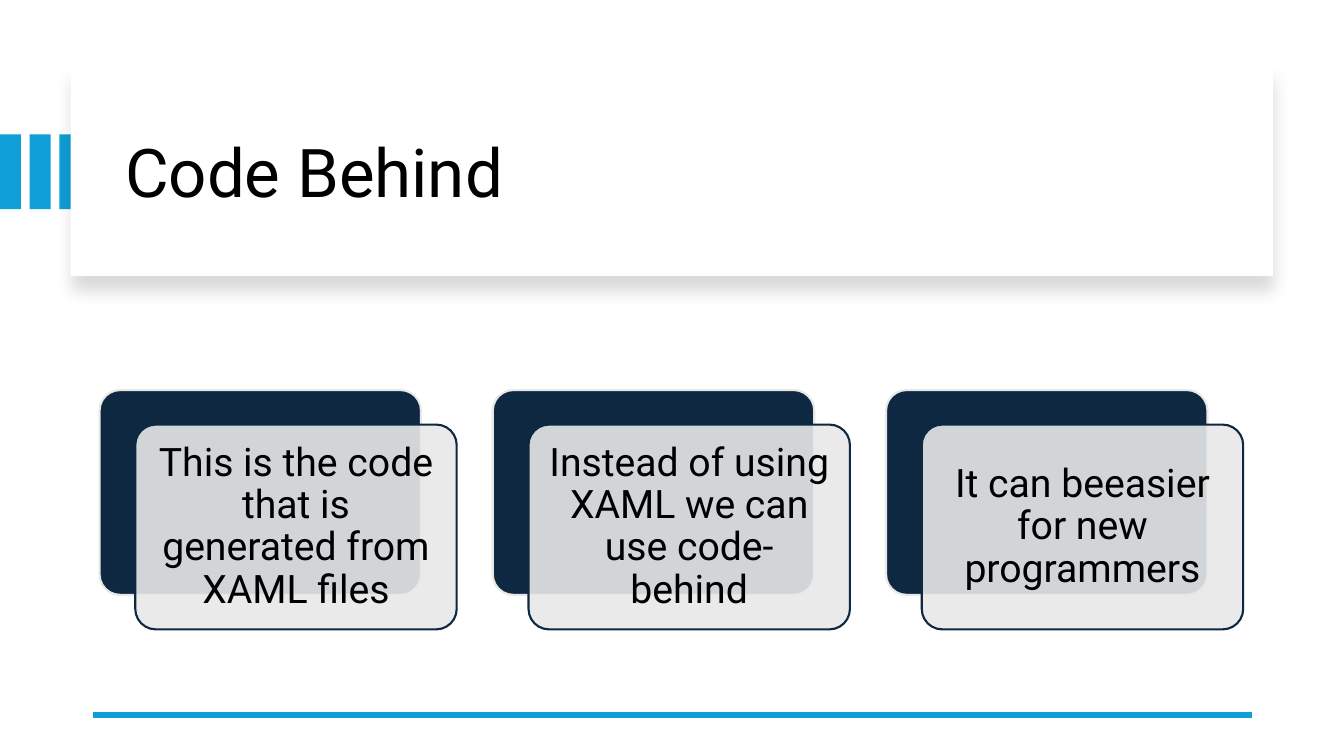
from lxml import etree
from pptx import Presentation
from pptx import util as u
from pptx.dml.color import RGBColor
from pptx.enum import shapes, text
from pptx.oxml import ns

TITLE = "Code Behind"
CARDS = [
    "This is the code that is generated from XAML files",
    "Instead of using XAML we can use code-behind",
    "It can beeasier for new programmers",
]
FONT = "Roboto"
BLUE, NAVY, GREY, WHITE, BLACK = "0F9ED5", "0E2841", "E8E8E8", "FFFFFF", "000000"

# Lengths in centimetres
BAR_COUNT, BAR_PITCH, BAR_TOP, BAR_SIZE = 3, 0.75, 3.39, (0.53, 1.88)
PANEL = (1.78, 1.7, 30.3, 5.26)
TITLE_BOX = (2.9, 2.26, 28.27, 4.32)
RULE_LEFT, RULE_RIGHT, RULE_Y = 2.34, 31.55, 18.01
CARD_LEFT, CARD_TOP, CARD_SIZE, CARD_PITCH = 2.51, 9.83, (8.1, 5.16), 9.91
FRONT_SHIFT = (0.9, 0.87)
CARD_INSET = 0.3


def rgb(value):
    return RGBColor.from_string(value)


def add_box(kind, box, fill, line=None):
    sp = s.shapes.add_shape(kind, *map(u.Cm, box))
    sp.shadow.inherit = False
    sp.fill.solid()
    sp.fill.fore_color.rgb = rgb(fill)
    if line:
        sp.line.color.rgb = rgb(line)
        sp.line.width = u.Pt(1.5)
    else:
        sp.line.fill.background()
    return sp


def write(tf, words, size, align):
    tf.word_wrap = True
    tf.vertical_anchor = text.MSO_ANCHOR.MIDDLE
    p = tf.paragraphs[0]
    p.alignment = align
    p.line_spacing = 0.9
    r = p.add_run()
    r.text = words
    r.font.name = FONT
    r.font.size = u.Pt(size)
    r.font.color.rgb = rgb(BLACK)


def add_alpha(color, percent):
    etree.SubElement(color, ns.qn("a:alpha"), val=str(percent * 1000))


def add_drop_shadow(sp, percent, blur, distance):
    """Cast a shadow straight down; blur and distance are in points."""
    effects = sp._element.spPr.find(ns.qn("a:effectLst"))
    shadow = etree.SubElement(
        effects, ns.qn("a:outerShdw"), blurRad=str(u.Pt(blur)),
        dist=str(u.Pt(distance)), dir="5400000", algn="t", rotWithShape="0")
    add_alpha(etree.SubElement(shadow, ns.qn("a:srgbClr"), val=BLACK), percent)


def add_card(left, words):
    kind = shapes.MSO_SHAPE.ROUNDED_RECTANGLE
    back = add_box(kind, (left, CARD_TOP, *CARD_SIZE), NAVY, GREY)
    dx, dy = FRONT_SHIFT
    front = add_box(kind, (left + dx, CARD_TOP + dy, *CARD_SIZE), GREY, NAVY)
    for sp in (back, front):
        sp.adjustments[0] = 0.1
    add_alpha(front._element.spPr.find(ns.qn("a:solidFill"))[0], 90)
    tf = front.text_frame
    tf.margin_left = tf.margin_right = u.Cm(CARD_INSET)
    tf.margin_top = tf.margin_bottom = u.Cm(CARD_INSET)
    write(tf, words, 28, text.PP_ALIGN.CENTER)


prs = Presentation()
prs.slide_width, prs.slide_height = u.Cm(33.87), u.Cm(19.05)
s = prs.slides.add_slide(prs.slide_layouts[5])

for i in range(BAR_COUNT):
    add_box(shapes.MSO_SHAPE.RECTANGLE, (i * BAR_PITCH, BAR_TOP, *BAR_SIZE), BLUE)
panel = add_box(shapes.MSO_SHAPE.RECTANGLE, PANEL, WHITE)
add_drop_shadow(panel, 15, 11, 10)

title = s.shapes.title
title.left, title.top, title.width, title.height = map(u.Cm, TITLE_BOX)
write(title.text_frame, TITLE, 48, text.PP_ALIGN.LEFT)
panel._element.addnext(title._element)  # the title sits in front of the panel

rule = s.shapes.add_connector(
    shapes.MSO_CONNECTOR.STRAIGHT,
    u.Cm(RULE_RIGHT), u.Cm(RULE_Y), u.Cm(RULE_LEFT), u.Cm(RULE_Y))
rule.line.color.rgb = rgb(BLUE)
rule.line.width = u.Pt(4.5)
etree.SubElement(rule._element.spPr, ns.qn("a:effectLst"))

for i, words in enumerate(CARDS):
    add_card(CARD_LEFT + i * CARD_PITCH, words)

prs.save("out.pptx")
